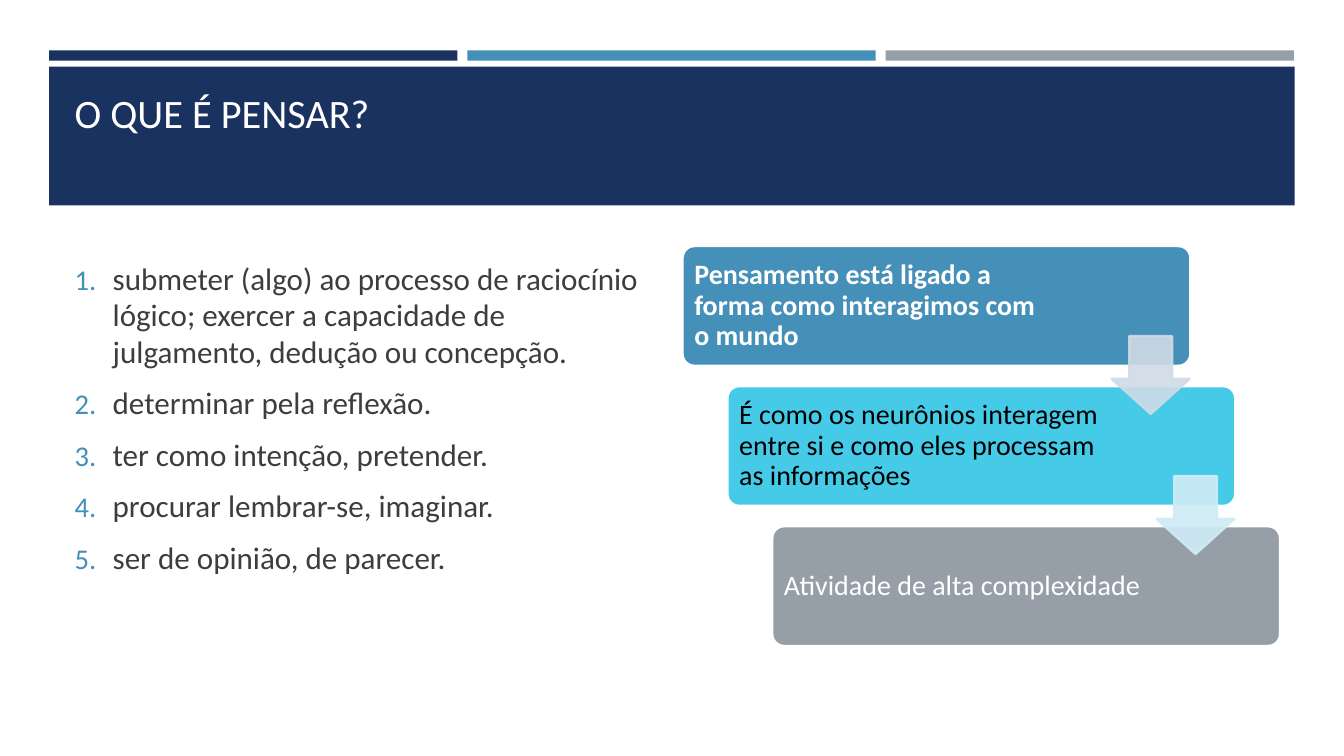
from dataclasses import dataclass

from lxml import etree
from pptx import Presentation
from pptx.dml.color import RGBColor
from pptx.enum.shapes import MSO_SHAPE
from pptx.enum.text import MSO_ANCHOR, PP_ALIGN
from pptx.oxml.ns import qn
from pptx.util import Cm, Pt

RECTANGLE = MSO_SHAPE.RECTANGLE
ROUNDED = MSO_SHAPE.ROUNDED_RECTANGLE
DOWN_ARROW = MSO_SHAPE.DOWN_ARROW
TOP, MIDDLE = MSO_ANCHOR.TOP, MSO_ANCHOR.MIDDLE
LEFT = PP_ALIGN.LEFT

FONT = "Calibri"
NAVY, BLUE, CYAN, GRAY = "1A3260", "4590B8", "45CBE8", "969FA7"
WHITE, BLACK, DARK = "FFFFFF", "000000", "3D3D3D"
LINE_WIDTH = 1.75


@dataclass
class Box:
    """Place and size in centimetres."""
    left: float
    top: float
    width: float
    height: float

    def shifted(self, right: float, down: float, steps: int) -> "Box":
        return Box(self.left + right * steps, self.top + down * steps,
                   self.width, self.height)


@dataclass
class Step:
    text: str
    fill: str
    color: str
    bold: bool = False


TITLE = "O QUE É PENSAR?"
TITLE_BOX = Box(1.63, 2.03, 30.63, 2.74)
BAND = Box(1.24, 1.68, 31.39, 3.5)
BAR, BAR_PITCH = Box(1.24, 1.27, 10.29, 0.26), 10.54
BAR_COLORS = [NAVY, BLUE, GRAY]

MEANINGS_BOX = Box(1.63, 6.2, 15.06, 9.88)
MEANINGS = [
    "submeter (algo) ao processo de raciocínio lógico; exercer a capacidade "
    "de julgamento, dedução ou concepção.",
    "determinar pela reflexão.",
    "ter como intenção, pretender.",
    "procurar lembrar-se, imaginar.",
    "ser de opinião, de parecer.",
]

STEP_BOX = Box(17.2, 6.2, 12.8, 3.02)
ARROW_BOX = Box(28.02, 8.47, 1.96, 1.96)
STEP_RIGHT, STEP_DOWN = 1.13, 3.53
STEPS = [
    Step("Pensamento está ligado a forma como interagimos com o mundo",
         BLUE, WHITE, True),
    Step("É como os neurônios interagem entre si e como eles processam "
         "as informações", CYAN, BLACK),
    Step("Atividade de alta complexidade", GRAY, WHITE),
]
ARROW_COLORS = ["CFDBE6", "CFECF6"]


def rgb(color: str) -> RGBColor:
    return RGBColor.from_string(color)


def place(shape, box: Box) -> None:
    shape.left, shape.top = Cm(box.left), Cm(box.top)
    shape.width, shape.height = Cm(box.width), Cm(box.height)


def add_shape(slide, kind, box: Box, fill: str, line: str = "",
              adjustments: tuple = ()):
    shape = slide.shapes.add_shape(kind, Cm(box.left), Cm(box.top),
                                   Cm(box.width), Cm(box.height))
    shape.shadow.inherit = False
    shape.fill.solid()
    shape.fill.fore_color.rgb = rgb(fill)
    if line:
        shape.line.color.rgb = rgb(line)
        shape.line.width = Pt(LINE_WIDTH)
    else:
        shape.line.fill.background()
    for index, value in enumerate(adjustments):
        shape.adjustments[index] = value
    return shape


def set_opacity(shape, percent: int) -> None:
    for color in shape._element.spPr.iter(qn("a:srgbClr")):
        etree.SubElement(color, qn("a:alpha"), val=str(percent * 1000))


def add_number(paragraph, color: str, size_percent: int, indent: float) -> None:
    properties = paragraph._p.get_or_add_pPr()
    properties.set("marL", str(Cm(indent)))
    properties.set("indent", str(-Cm(indent)))
    bullet_color = etree.SubElement(properties, qn("a:buClr"))
    etree.SubElement(bullet_color, qn("a:srgbClr"), val=color)
    etree.SubElement(properties, qn("a:buSzPct"), val=str(size_percent * 1000))
    etree.SubElement(properties, qn("a:buAutoNum"), type="arabicPeriod")


def write_text(shape, texts: list[str], *, size: float, color: str,
               bold: bool = False, anchor=MIDDLE, insets: tuple = (),
               line_spacing: float = 1.0, before: float = 0,
               after: float = 0, numbered: bool = False) -> None:
    """Insets are left, top, right and bottom in centimetres."""
    frame = shape.text_frame
    frame.word_wrap = True
    frame.vertical_anchor = anchor
    (frame.margin_left, frame.margin_top,
     frame.margin_right, frame.margin_bottom) = map(Cm, insets)
    for index, text in enumerate(texts):
        paragraph = frame.add_paragraph() if index else frame.paragraphs[0]
        paragraph.alignment = LEFT
        paragraph.line_spacing = line_spacing
        paragraph.space_before = Pt(before if index else 0)
        paragraph.space_after = Pt(after)
        if numbered:
            add_number(paragraph, BLUE, 92, 0.96)
        run = paragraph.add_run()
        run.text = text
        run.font.name = FONT
        run.font.size = Pt(size)
        run.font.bold = bold
        run.font.color.rgb = rgb(color)


def add_header(slide) -> None:
    for index, color in enumerate(BAR_COLORS):
        add_shape(slide, RECTANGLE, BAR.shifted(BAR_PITCH, 0, index), color)
    add_shape(slide, RECTANGLE, BAND, NAVY)
    title = slide.shapes.title
    place(title, TITLE_BOX)
    write_text(title, [TITLE], size=28.8, color=WHITE, anchor=TOP,
               insets=(0.25, 0.18, 0.25, 0.13))
    # Bring the title in front of the band
    slide.shapes._spTree.append(title._element)


def add_meanings(slide) -> None:
    text_box = slide.shapes.add_textbox(0, 0, 0, 0)
    place(text_box, MEANINGS_BOX)
    write_text(text_box, MEANINGS, size=22.2, color=DARK, anchor=TOP,
               insets=(0.25, 0.38, 0.25, 0.13), line_spacing=0.98,
               before=4.6, after=6, numbered=True)


def add_staircase(slide) -> None:
    for index, step in enumerate(STEPS):
        box = STEP_BOX.shifted(STEP_RIGHT, STEP_DOWN, index)
        shape = add_shape(slide, ROUNDED, box, step.fill, WHITE, (0.1,))
        write_text(shape, [step.text], size=20, color=step.color,
                   bold=step.bold, insets=(0.21, 0.21, 3.35, 0.21),
                   line_spacing=0.9)
    for index, color in enumerate(ARROW_COLORS):
        box = ARROW_BOX.shifted(STEP_RIGHT, STEP_DOWN, index)
        # Adjustment order: head length, shaft width
        arrow = add_shape(slide, DOWN_ARROW, box, color, color, (0.55, 0.45))
        set_opacity(arrow, 90)


def main() -> None:
    presentation = Presentation()
    presentation.slide_width, presentation.slide_height = Cm(33.87), Cm(19.05)
    slide = presentation.slides.add_slide(presentation.slide_layouts[5])
    add_header(slide)
    add_meanings(slide)
    add_staircase(slide)
    presentation.save("out.pptx")


if __name__ == "__main__":
    main()
